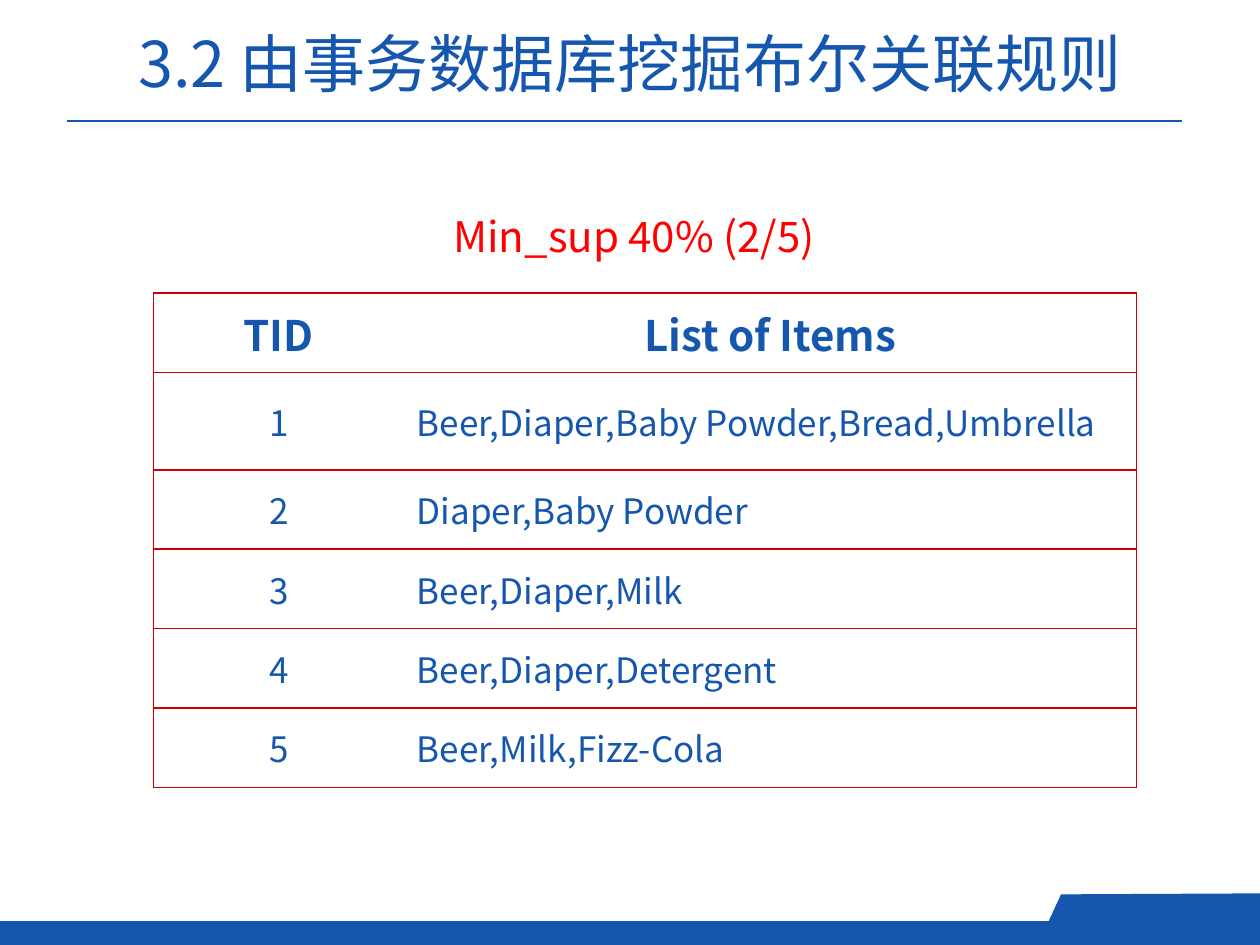
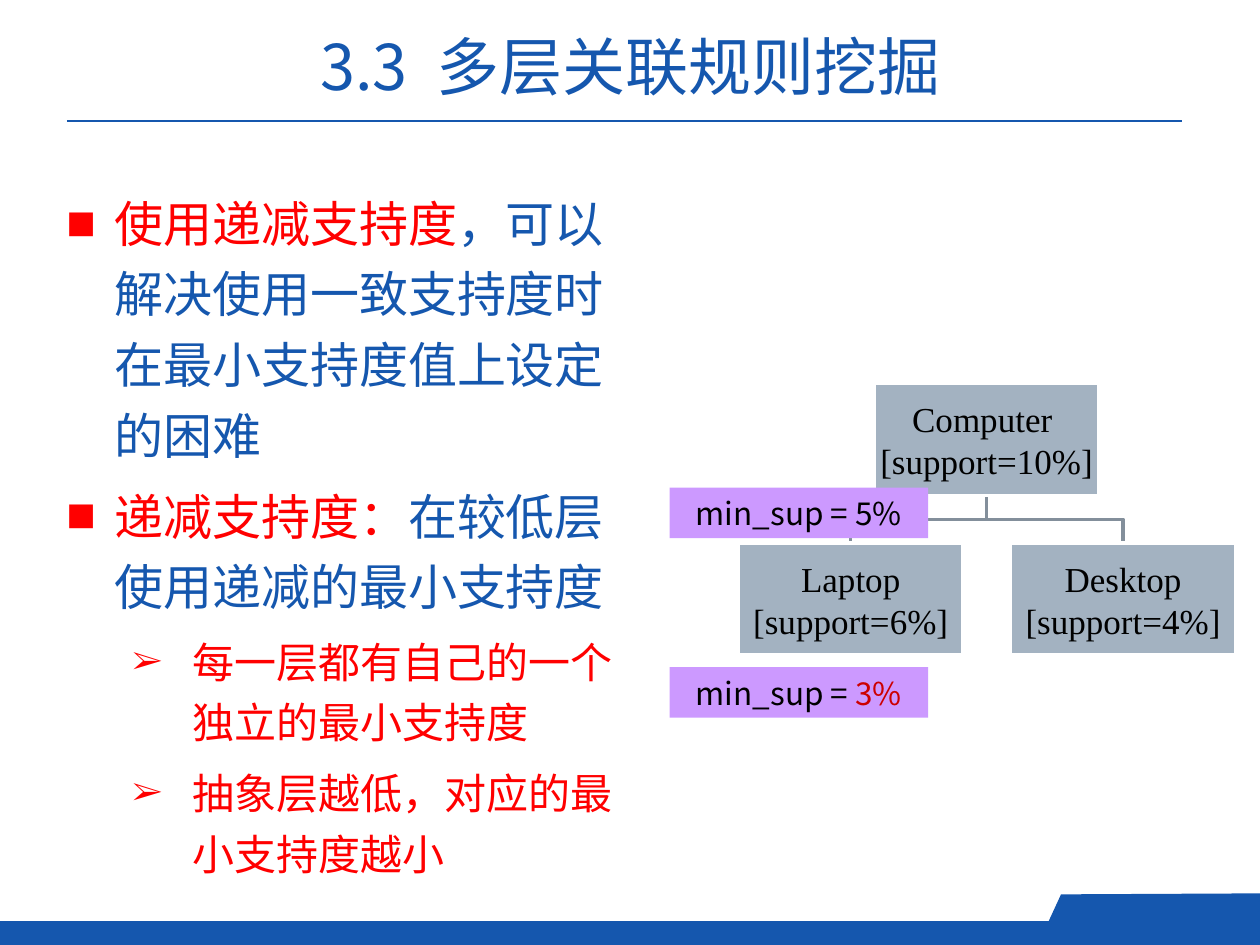
import dataclasses
import typing

import lxml.etree
import pptx
import pptx.dml.color
import pptx.enum.shapes
import pptx.enum.text
import pptx.oxml.ns
import pptx.util

Cm = pptx.util.Cm
Pt = pptx.util.Pt
ALIGN = pptx.enum.text.PP_ALIGN
ANCHOR = pptx.enum.text.MSO_ANCHOR
RECT = pptx.enum.shapes.MSO_SHAPE.RECTANGLE

BLUE, RED, CRIMSON = "1557AE", "FF0000", "CC0000"
BLACK, WHITE = "000000", "FFFFFF"
SLATE, STEEL, LILAC = "A3B2C1", "838F9B", "CC99FF"
SANS, SERIF = "Noto Sans CJK SC", "Times New Roman"


class Run(typing.NamedTuple):
    text: str
    hue: str


class Box(typing.NamedTuple):
    left: float
    top: float
    width: float
    height: float


@dataclasses.dataclass
class Para:
    runs: list[Run]
    size: float
    name: str = SANS
    bold: bool = False
    align: ALIGN = ALIGN.LEFT
    space: float = 0
    pitch: float = 1.0
    mark: str = ""
    scale: int = 100
    margin: float = 0
    hang: float = 0


@dataclasses.dataclass
class Node:
    label: str
    rate: str
    mid: float
    top: float


@dataclasses.dataclass
class Tag:
    rate: Run
    top: float


ROWS = [
    ("TID", "List of Items"),
    ("1", "Beer,Diaper,Baby Powder,Bread,Umbrella"),
    ("2", "Diaper,Baby Powder"),
    ("3", "Beer,Diaper,Milk"),
    ("4", "Beer,Diaper,Detergent"),
    ("5", "Beer,Milk,Fizz-Cola"),
]
SQUARE = dict(size=28, mark="■", margin=0.97, hang=0.97, pitch=1.2)
ARROW = dict(size=24, mark="➢", scale=78, margin=2.55, hang=1.22, pitch=1.2, space=6)
POINTS = [
    Para([Run("使用递减支持度", RED),
          Run("，可以解决使用一致支持度时在最小支持度值上设定的困难", BLUE)], **SQUARE),
    Para([Run("递减支持度：", RED),
          Run("在较低层使用递减的最小支持度", BLUE)], space=6, **SQUARE),
    Para([Run("每一层都有自己的一个独立的最小支持度", RED)], **ARROW),
    Para([Run("抽象层越低，对应的最小支持度越小", RED)], **ARROW),
]
NODE_W, NODE_H = 4.54, 2.26
ROOT = Node("Computer ", "10%", 19.89, 7.73)
LEAVES = [Node("Laptop", "6%", 17.15, 10.95), Node("Desktop", "4%", 22.64, 10.95)]
TAGS = [Tag(Run("5%", BLACK), 9.83), Tag(Run("3%", CRIMSON), 13.45)]


def tint(hue: str) -> pptx.dml.color.RGBColor:
    return pptx.dml.color.RGBColor.from_string(hue)


def put(thing: typing.Any, form: dict[str, typing.Any]) -> None:
    for key, value in form.items():
        setattr(thing, key, value)


def child(host: typing.Any, tag: str, **props: str) -> typing.Any:
    return lxml.etree.SubElement(host, pptx.oxml.ns.qn(tag), props)


def fill_in(frame: typing.Any, paras: list[Para]) -> None:
    for num, para in enumerate(paras):
        line = frame.add_paragraph() if num else frame.paragraphs[0]
        put(line, dict(alignment=para.align, space_before=Pt(para.space),
                       line_spacing=para.pitch))
        if para.mark:
            props = line._p.get_or_add_pPr()
            props.set("marL", str(Cm(para.margin)))
            props.set("indent", str(-Cm(para.hang)))
            child(props, "a:buSzPct", val=str(para.scale * 1000))
            child(props, "a:buFont", typeface=SERIF)
            child(props, "a:buChar", char=para.mark)
        for part in para.runs:
            run = line.add_run()
            run.text = part.text
            put(run.font, dict(size=Pt(para.size), name=para.name, bold=para.bold))
            run.font.color.rgb = tint(part.hue)
            child(run._r.get_or_add_rPr(), "a:ea", typeface=para.name)


def pad(host: typing.Any, anchor: ANCHOR, inset: tuple[float, float] = (0.25, 0.13)) -> None:
    side, edge = map(Cm, inset)
    put(host, dict(vertical_anchor=anchor, margin_left=side, margin_right=side,
                   margin_top=edge, margin_bottom=edge))


def write(frame: typing.Any, paras: list[Para], anchor: ANCHOR = ANCHOR.TOP,
          inset: tuple[float, float] = (0.25, 0.13), wrap: bool = True) -> None:
    put(frame, dict(word_wrap=wrap, auto_size=pptx.enum.text.MSO_AUTO_SIZE.NONE))
    pad(frame, anchor, inset)
    fill_in(frame, paras)


def style(shape: typing.Any, fill: str = "", line: str = "", width: float = 2) -> None:
    shape.shadow.inherit = False
    if fill:
        shape.fill.solid()
        shape.fill.fore_color.rgb = tint(fill)
    else:
        shape.fill.background()
    if line:
        shape.line.color.rgb = tint(line)
        shape.line.width = Pt(width)
    else:
        shape.line.fill.background()


def block(slide: typing.Any, box: Box, fill: str, line: str = "") -> typing.Any:
    shape = slide.shapes.add_shape(RECT, *map(Cm, box))
    style(shape, fill, line)
    return shape


def trace(slide: typing.Any, dots: list[tuple[float, float]], close: bool) -> typing.Any:
    first, *rest = [(Cm(x), Cm(y)) for x, y in dots]
    pen = slide.shapes.build_freeform(*first)
    pen.add_line_segments(rest, close=close)
    return pen.convert_to_shape()


def label(slide: typing.Any, box: Box, paras: list[Para], wrap: bool = True) -> None:
    write(slide.shapes.add_textbox(*map(Cm, box)).text_frame, paras, wrap=wrap)


def begin(deck: typing.Any, title: str, box: Box) -> typing.Any:
    slide = deck.slides.add_slide(deck.slide_layouts[5])
    rule = slide.shapes.add_connector(
        pptx.enum.shapes.MSO_CONNECTOR.STRAIGHT, Cm(1.35), Cm(2.44), Cm(23.83), Cm(2.44))
    rule.line.color.rgb = tint(BLUE)
    rule.line.width = Pt(1.5)
    child(rule._element.spPr, "a:effectLst")
    block(slide, Box(0, 18.57, 25.4, 0.48), BLUE)
    tab = trace(slide, [(25.4, 18.92), (25.4, 18.01), (21.39, 18.03), (20.98, 18.92)], True)
    style(tab, BLUE)
    head = slide.shapes.title
    put(head, dict(zip(("left", "top", "width", "height"), map(Cm, box))))
    write(head.text_frame, [Para([Run(title, BLUE)], 36, align=ALIGN.CENTER)], ANCHOR.BOTTOM)
    return slide


def edge(cell: typing.Any, sides: str) -> None:
    props = cell._tc.get_or_add_tcPr()
    for num, side in enumerate("LRTB"):
        line = child(props, f"a:ln{side}", w=str(Pt(1)))
        if side in sides:
            child(child(line, "a:solidFill"), "a:srgbClr", val=CRIMSON)
        else:
            child(line, "a:noFill")
        props.insert(num, line)


def items(slide: typing.Any) -> None:
    table = slide.shapes.add_table(
        len(ROWS), 2, Cm(3.09), Cm(5.91), Cm(19.82), Cm(9.96)).table
    put(table, dict(first_row=False, horz_banding=False))
    for col, width in zip(table.columns, (5.06, 14.76)):
        col.width = Cm(width)
    for r, texts in enumerate(ROWS):
        table.rows[r].height = Cm(1.96 if r == 1 else 1.6)
        for c, text in enumerate(texts):
            cell = table.cell(r, c)
            cell.fill.solid()
            cell.fill.fore_color.rgb = tint(WHITE)
            top = r == 0
            pad(cell, ANCHOR.MIDDLE)
            fill_in(cell.text_frame, [
                Para([Run(text, BLUE)], 24 if top else 20, bold=top,
                     align=ALIGN.LEFT if c and not top else ALIGN.CENTER)])
            edge(cell, "RTB" if c else "LTB")


def tree(slide: typing.Any) -> None:
    base = ROOT.top + NODE_H
    for leaf in reversed(LEAVES):
        turn = (base + leaf.top) / 2
        link = trace(slide, [(ROOT.mid, base), (ROOT.mid, turn),
                             (leaf.mid, turn), (leaf.mid, leaf.top)], False)
        style(link, line=STEEL)
    for node in [ROOT, *LEAVES]:
        box = Box(node.mid - NODE_W / 2, node.top, NODE_W, NODE_H)
        lines = [node.label, f"[support={node.rate}]"]
        write(block(slide, box, SLATE, WHITE).text_frame,
              [Para([Run(text, BLACK)], 20, SERIF, align=ALIGN.CENTER) for text in lines],
              ANCHOR.MIDDLE, (0.03, 0.03))
    for tag in TAGS:
        shape = block(slide, Box(13.5, tag.top, 5.21, 1.02), LILAC)
        write(shape.text_frame,
              [Para([Run("min_sup = ", BLACK), tag.rate], 18, align=ALIGN.CENTER)],
              ANCHOR.MIDDLE, (0.25, 0))


def main() -> None:
    deck = pptx.Presentation()
    put(deck, dict(slide_width=Cm(25.4), slide_height=Cm(19.05)))

    slide = begin(deck, "3.2 由事务数据库挖掘布尔关联规则", Box(0.7, -0.35, 24, 2.49))
    items(slide)
    label(slide, Box(8.89, 4.11, 8.97, 1.27),
          [Para([Run("Min_sup 40% (2/5)", RED)], 24)], wrap=False)

    slide = begin(deck, "3.3  多层关联规则挖掘", Box(1.59, -0.28, 22.23, 2.49))
    label(slide, Box(1.09, 3.53, 12.04, 12.57), POINTS)
    tree(slide)

    deck.save("out.pptx")


if __name__ == "__main__":
    main()
